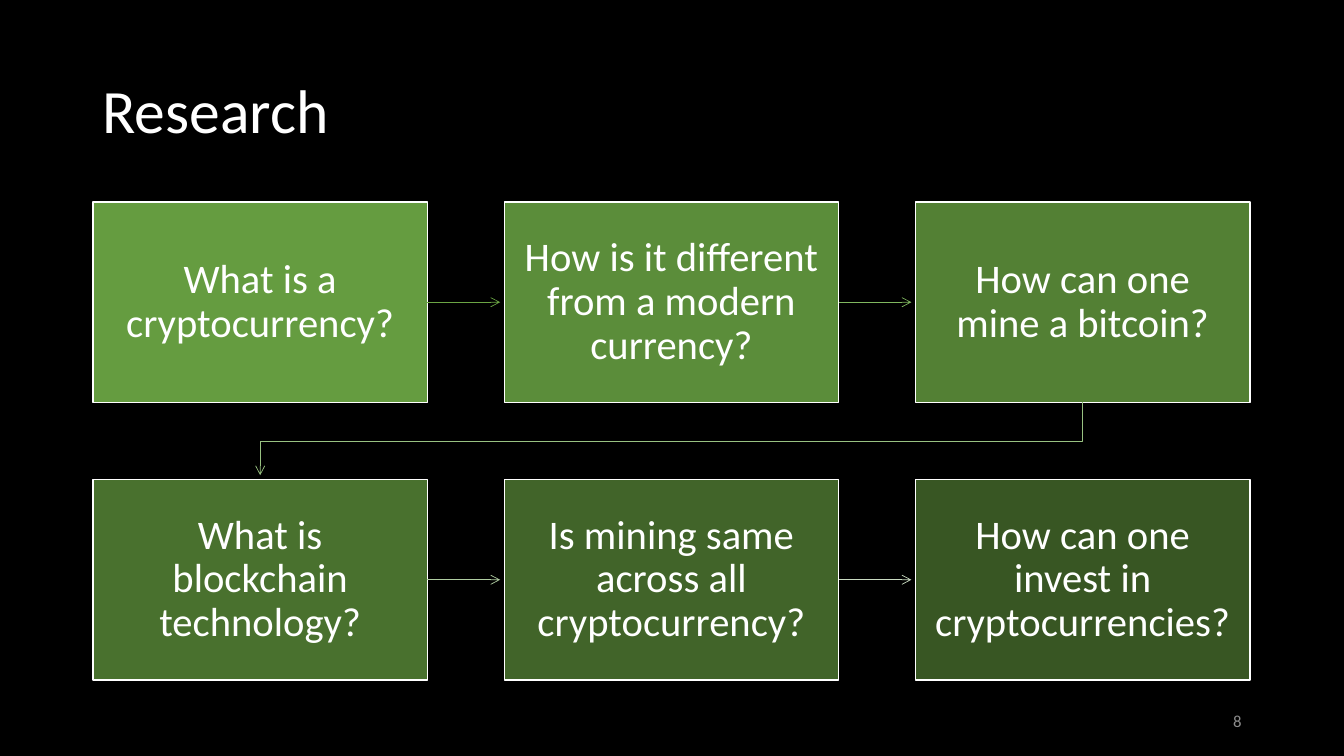
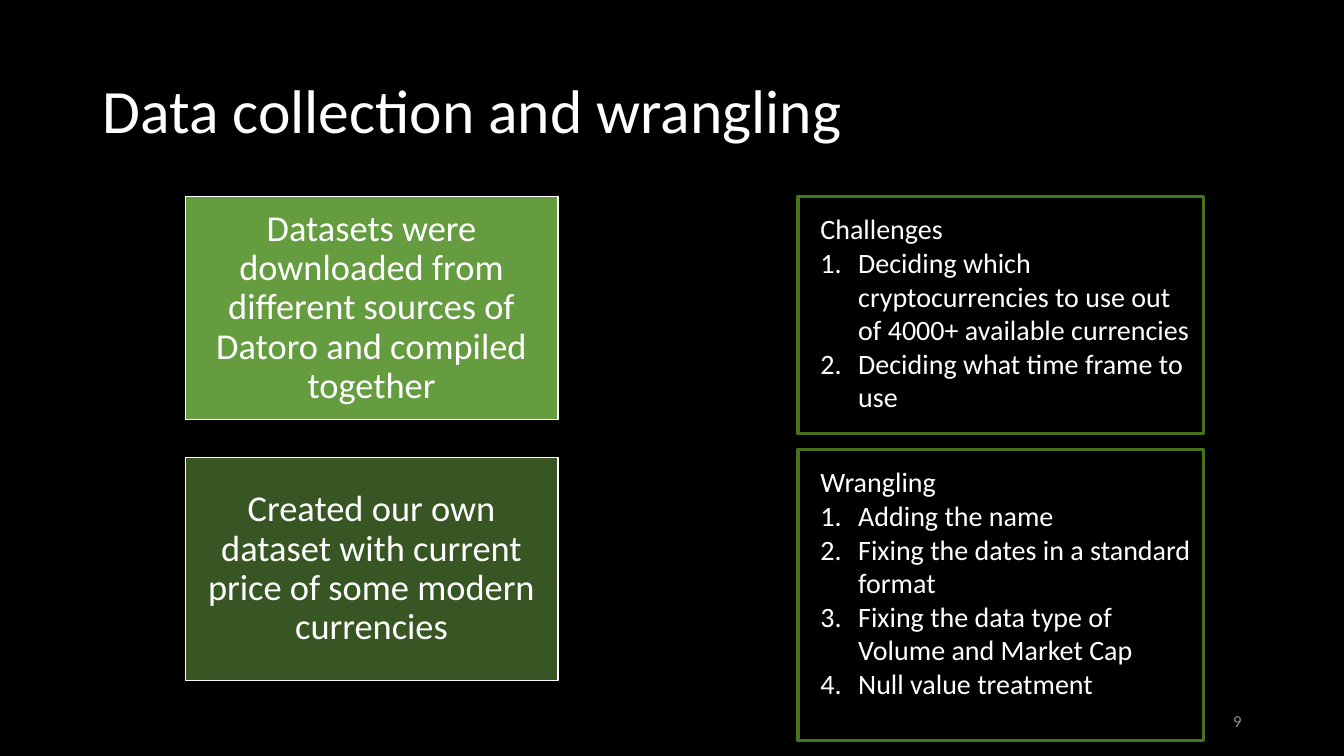
from pptx import Presentation
from pptx.dml.color import RGBColor
from pptx.enum.shapes import MSO_CONNECTOR, MSO_SHAPE
from pptx.enum.text import MSO_ANCHOR, MSO_AUTO_SIZE, PP_ALIGN
from pptx.oxml.ns import qn
from pptx.util import Pt
from lxml.etree import SubElement

COLORS = {
    "background": "000000",
    "text": "FFFFFF",
    "card": "70AD47",
    "card_edge": "FFFFFF",
    "panel_edge": "46741E",
    "page_number": "8C8C8C",
    "arrow_1": "6BA544",
    "arrow_2": "80B75F",
    "arrow_3": "98C181",
    "arrow_4": "B0CDA2",
    "arrow_5": "C9DBC1",
}
FONT = "Calibri"
TITLE_AREA = (66, 28.75, 828, 104.5)
PAGE_NUMBER_AREA = (678, 500.5, 216, 28.75)
TITLE_ONLY, TWO_CONTENT = 5, 3
ARROW_GAP = 3
NUMBER_INDENT = 27

QUESTIONS = [
    "What is a cryptocurrency?",
    "How is it different from a modern currency?",
    "How can one mine a bitcoin?",
    "What is blockchain technology?",
    "Is mining same across all cryptocurrency?",
    "How can one invest in cryptocurrencies?",
]
DATASETS = [
    ("Datasets were downloaded from different sources of Datoro and compiled together", 90),
    ("Created our own dataset with current price of some modern currencies", 50),
]
PANELS = [
    ("Challenges", 169.25, [
        "Deciding which cryptocurrencies to use out of 4000+ available currencies",
        "Deciding what time frame to use",
    ]),
    ("Wrangling", 208, [
        "Adding the name",
        "Fixing the dates in a standard format",
        "Fixing the data type of Volume and Market Cap",
        "Null value treatment",
    ]),
]


def rgb(role):
    """Return the colour that plays a role."""
    return RGBColor.from_string(COLORS[role])


def apply_format(target, values):
    """Set every attribute named in values on target."""
    for name, value in values.items():
        setattr(target, name, value)


def place(part, area):
    """Move and size a part to left, top, width and height in points."""
    apply_format(part, dict(zip(("left", "top", "width", "height"), map(Pt, area))))


def format_frame(frame, anchor, insets):
    """Set anchor, wrapping and the left, top, right and bottom insets."""
    sides = ("margin_left", "margin_top", "margin_right", "margin_bottom")
    apply_format(frame, {
        "word_wrap": True,
        "auto_size": MSO_AUTO_SIZE.NONE,
        "vertical_anchor": anchor,
        **dict(zip(sides, map(Pt, insets))),
    })


def write(paragraph, text, size, align=PP_ALIGN.LEFT, spacing=1.0, role="text"):
    """Write one formatted run into a paragraph."""
    apply_format(paragraph, {
        "alignment": align,
        "line_spacing": spacing,
        "space_before": Pt(0),
        "space_after": Pt(0),
    })
    run = paragraph.add_run()
    run.text = text
    apply_format(run.font, {"name": FONT, "size": Pt(size)})
    run.font.color.rgb = rgb(role)


def draw_line(line, role, width):
    """Give a line its colour and width."""
    line.color.rgb = rgb(role)
    line.width = Pt(width)


def set_up_master(deck):
    """Give the master its background and title position."""
    fill = deck.slide_master.background.fill
    fill.solid()
    fill.fore_color.rgb = rgb("background")
    place(deck.slide_master.placeholders[0], TITLE_AREA)


def add_slide(deck, layout, title, number):
    """Add a slide with its title and page number."""
    slide = deck.slides.add_slide(deck.slide_layouts[layout])
    heading = slide.shapes.title.text_frame
    format_frame(heading, MSO_ANCHOR.MIDDLE, (7.2, 3.6, 7.2, 3.6))
    write(heading.paragraphs[0], title, 44, spacing=0.9)
    footer = slide.shapes.add_textbox(*map(Pt, PAGE_NUMBER_AREA)).text_frame
    format_frame(footer, MSO_ANCHOR.MIDDLE, (7.2, 3.6, 7.2, 3.6))
    write(footer.paragraphs[0], str(number), 12, PP_ALIGN.RIGHT, role="page_number")
    return slide


def add_card(slide, area, text, size, inset, opacity):
    """Add a translucent green card with centred text."""
    card = slide.shapes.add_shape(MSO_SHAPE.RECTANGLE, *map(Pt, area))
    card.shadow.inherit = False
    card.fill.solid()
    card.fill.fore_color.rgb = rgb("card")
    green = card.element.spPr.find(qn("a:solidFill"))[0]
    SubElement(green, qn("a:alpha"), val=str(opacity * 1000))
    draw_line(card.line, "card_edge", 1)
    format_frame(card.text_frame, MSO_ANCHOR.MIDDLE, [inset] * 4)
    write(card.text_frame.paragraphs[0], text, size, PP_ALIGN.CENTER, 0.9)
    return card


def style_arrow(arrow, role):
    """Draw a thin line with an open head at its end."""
    draw_line(arrow.line, role, 0.5)
    SubElement(arrow.element.spPr.get_or_add_ln(), qn("a:tailEnd"), type="arrow")


def add_row_arrow(slide, source, target, role):
    """Point from a card to the next one in its row."""
    middle = source.top + source.height // 2
    arrow = slide.shapes.add_connector(
        MSO_CONNECTOR.STRAIGHT, source.left + source.width, middle,
        target.left - Pt(ARROW_GAP), middle)
    arrow.begin_connect(source, 3)
    style_arrow(arrow, role)
    SubElement(arrow.element.spPr, qn("a:effectLst"))


def add_return_arrow(slide, source, target, role):
    """Point from the end of a row to the start of the next one."""
    start_x = source.left + source.width // 2
    end_x = target.left + target.width // 2
    bottom = source.top + source.height
    turn = (bottom + target.top) // 2
    outline = slide.shapes.build_freeform(start_x, bottom)
    outline.add_line_segments(
        [(start_x, turn), (end_x, turn), (end_x, target.top - Pt(ARROW_GAP))],
        close=False)
    arrow = outline.convert_to_shape()
    arrow.shadow.inherit = False
    arrow.fill.background()
    style_arrow(arrow, role)


def add_question_flow(slide):
    """Lay the questions out in rows of three, joined by arrows."""
    left, top, width, height, gap, columns = 66.5, 144.25, 238.75, 143.25, 55, 3
    cards = []
    for index, question in enumerate(QUESTIONS):
        row, column = divmod(index, columns)
        area = (left + column * (width + gap), top + row * (height + gap), width, height)
        cards.append(add_card(slide, area, question, 29, 12, 90 - 8 * index))
    for index, (source, target) in enumerate(zip(cards, cards[1:]), 1):
        add_arrow = add_row_arrow if index % columns else add_return_arrow
        add_arrow(slide, source, target, f"arrow_{index}")


def fill_panel(panel, area, heading, items):
    """Turn a body placeholder into a framed, numbered list."""
    place(panel, area)
    draw_line(panel.line, "panel_edge", 2.25)
    frame = panel.text_frame
    format_frame(frame, MSO_ANCHOR.TOP, (16, 11, 7.2, 3.6))
    for index, text in enumerate([heading, *items]):
        paragraph = frame.add_paragraph() if index else frame.paragraphs[0]
        write(paragraph, text, 20)
        properties = paragraph._p.get_or_add_pPr()
        indent = Pt(NUMBER_INDENT) if index else 0
        properties.set("marL", str(indent))
        properties.set("indent", str(-indent))
        if index:
            SubElement(properties, qn("a:buFont"), typeface="+mj-lt")
            SubElement(properties, qn("a:buAutoNum"), type="arabicPeriod")
        else:
            SubElement(properties, qn("a:buNone"))


def add_data_steps(slide):
    """Stack the dataset cards on the left and the panels on the right."""
    top, card_height, card_gap, panel_gap = 140.25, 159.5, 27, 11.5
    for index, (text, opacity) in enumerate(DATASETS):
        area = (132.5, top + index * (card_height + card_gap), 266, card_height)
        add_card(slide, area, text, 26, 8, opacity)
    for index, (heading, height, items) in enumerate(PANELS, 1):
        fill_panel(slide.placeholders[index], (570, top, 289.5, height), heading, items)
        top += height + panel_gap


def main():
    """Build both slides and save the deck."""
    deck = Presentation()
    apply_format(deck, {"slide_width": Pt(960), "slide_height": Pt(540)})
    set_up_master(deck)
    add_question_flow(add_slide(deck, TITLE_ONLY, "Research", 8))
    add_data_steps(add_slide(deck, TWO_CONTENT, "Data collection and wrangling", 9))
    deck.save("out.pptx")


if __name__ == "__main__":
    main()
